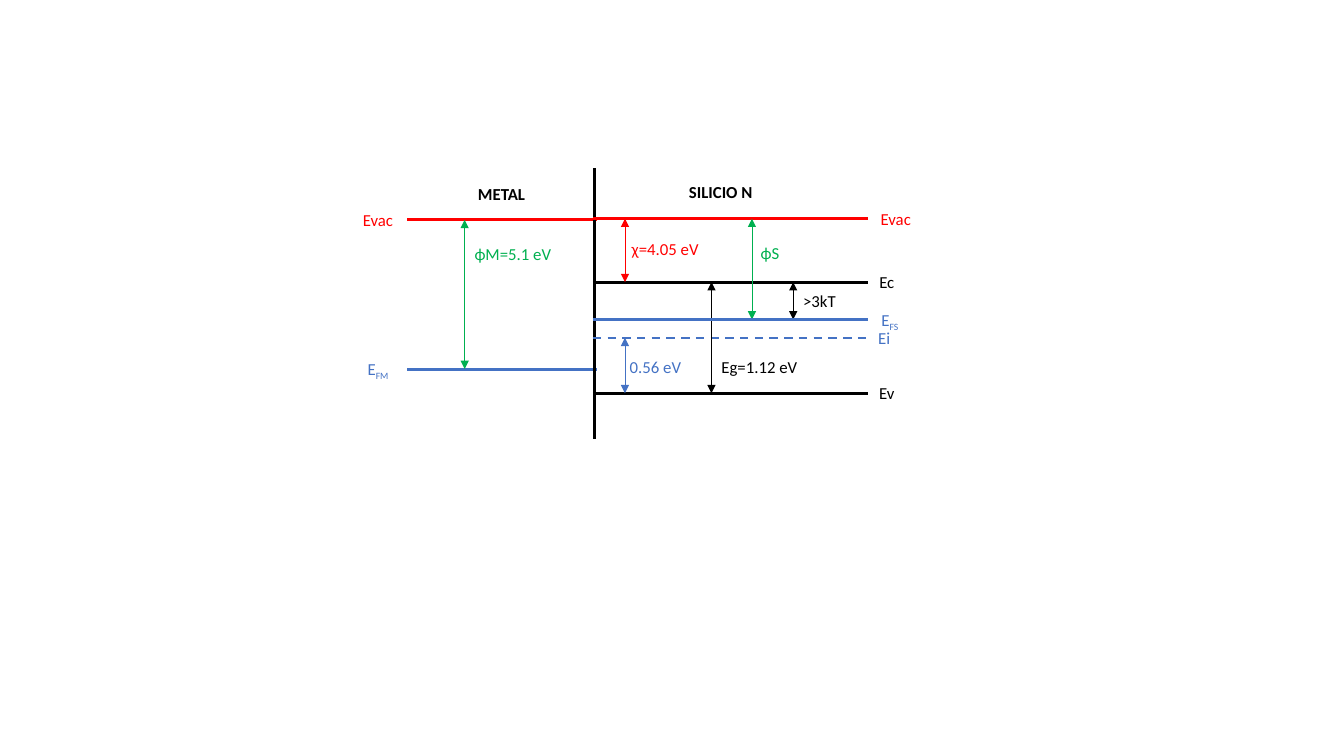
from lxml import etree
from pptx import Presentation
from pptx import util as u
from pptx.dml.color import RGBColor
from pptx.enum import dml, shapes, text
from pptx.oxml import ns

BLACK = RGBColor(0x00, 0x00, 0x00)
RED = RGBColor(0xFF, 0x00, 0x00)
GREEN = RGBColor(0x00, 0xB0, 0x50)
BLUE = RGBColor(0x44, 0x72, 0xC4)

# Energy levels: heights on the slide, in cm
METAL_VACUUM, METAL_FERMI = 5.54, 9.30
VACUUM, CONDUCTION, FERMI, INTRINSIC, VALENCE = 5.51, 7.11, 8.05, 8.51, 9.91

METAL_SPAN = (10.26, 15.04)
SILICON_SPAN = (14.94, 21.87)
JUNCTION = 14.99
LEVEL_LABELS = 21.84
LABEL_HEIGHT = 0.76


class BandDiagram:
    def __init__(self, slide, font="Calibri", size=12):
        self.slide = slide
        self.font = font
        self.size = size
        self.start_group()

    def start_group(self):
        self.group = self.slide.shapes.add_group_shape().shapes

    def line(self, x1, y1, x2, y2, color, weight=2.25):
        line = self.group.add_connector(
            shapes.MSO_CONNECTOR.STRAIGHT, u.Cm(x1), u.Cm(y1), u.Cm(x2), u.Cm(y2))
        line.line.color.rgb = color
        line.line.width = u.Pt(weight)
        etree.SubElement(line._element.spPr, ns.qn("a:effectLst"))
        return line

    def level(self, span, y, color, weight=2.25):
        return self.line(span[0], y, span[1], y, color, weight)

    def gap(self, x, top, bottom, color):
        """Double-headed arrow between two energy levels."""
        arrow = self.line(x, top, x, bottom, color, 0.5)
        outline = arrow.line._get_or_add_ln()
        for end in ("a:headEnd", "a:tailEnd"):
            etree.SubElement(outline, ns.qn(end), type="triangle")

    def label(self, words, left, middle, width, color, subscript="",
              bold=False, align=text.PP_ALIGN.CENTER):
        box = self.group.add_textbox(u.Cm(left), u.Cm(middle - LABEL_HEIGHT / 2),
                                     u.Cm(width), u.Cm(LABEL_HEIGHT))
        frame = box.text_frame
        frame.word_wrap = False
        frame.auto_size = text.MSO_AUTO_SIZE.SHAPE_TO_FIT_TEXT
        para = frame.paragraphs[0]
        para.alignment = align
        para.font.name = self.font
        para.font.size = u.Pt(self.size)
        para.font.bold = bold
        para.font.color.rgb = color
        para.add_run().text = words
        if subscript:
            span = para.add_run()
            span.text = subscript
            span.font._element.set("baseline", "-25000")

    def gap_label(self, words, left, middle, width, color):
        self.label(words, left, middle, width, color, align=text.PP_ALIGN.LEFT)


def draw_metal(diagram):
    diagram.level(METAL_SPAN, METAL_VACUUM, RED)
    diagram.level(METAL_SPAN, METAL_FERMI, BLUE)
    diagram.gap(11.71, METAL_VACUUM, METAL_FERMI, GREEN)
    diagram.gap_label("ϕM=5.1 eV", 11.71, 6.40, 2.59, GREEN)
    diagram.label("Evac", 8.79, METAL_VACUUM, 1.47, RED)
    diagram.label("E", 8.92, METAL_FERMI, 1.22, BLUE, subscript="FM")
    diagram.label("METAL", 11.66, 4.88, 1.96, BLACK, bold=True)
    diagram.line(JUNCTION, 4.24, JUNCTION, 11.07, BLACK)


def draw_silicon(diagram):
    for y, color in ((VACUUM, RED), (CONDUCTION, BLACK), (VALENCE, BLACK)):
        diagram.level(SILICON_SPAN, y, color)
    intrinsic = diagram.level(SILICON_SPAN, INTRINSIC, BLUE, 1.5)
    intrinsic.line.dash_style = dml.MSO_LINE.DASH

    for x, top, bottom, color in (
            (15.75, VACUUM, CONDUCTION, RED),
            (19.99, CONDUCTION, FERMI, BLACK),
            (15.75, INTRINSIC, VALENCE, BLUE),
            (17.93, CONDUCTION, VALENCE, BLACK),
            (18.95, VACUUM, FERMI, GREEN)):
        diagram.gap(x, top, bottom, color)

    for words, left, middle, width, color in (
            ("χ=4.05 eV", 15.67, 6.27, 2.46, RED),
            (">3kT", 19.99, 7.57, 1.47, BLACK),
            ("0.56 eV", 15.62, 9.25, 1.98, BLUE),
            ("Eg=1.12 eV", 17.93, 9.25, 2.74, BLACK),
            ("ϕS", 18.92, 6.38, 1.04, GREEN)):
        diagram.gap_label(words, left, middle, width, color)

    diagram.label("SILICIO N", 16.92, 4.83, 2.49, BLACK, bold=True)
    diagram.level(SILICON_SPAN, FERMI, BLUE)
    for words, subscript, y, width, color in (
            ("Evac", "", VACUUM, 1.47, RED),
            ("Ec", "", CONDUCTION, 1.02, BLACK),
            ("Ev", "", VALENCE, 1.02, BLACK),
            ("Ei", "", INTRINSIC, 0.89, BLUE),
            ("E", "FS", FERMI, 1.17, BLUE)):
        diagram.label(words, LEVEL_LABELS, y, width, color, subscript)


def main():
    deck = Presentation()
    deck.slide_width, deck.slide_height = u.Cm(33.87), u.Cm(19.05)
    diagram = BandDiagram(deck.slides.add_slide(deck.slide_layouts[6]))
    draw_metal(diagram)
    diagram.start_group()
    draw_silicon(diagram)
    deck.save("out.pptx")


if __name__ == "__main__":
    main()
